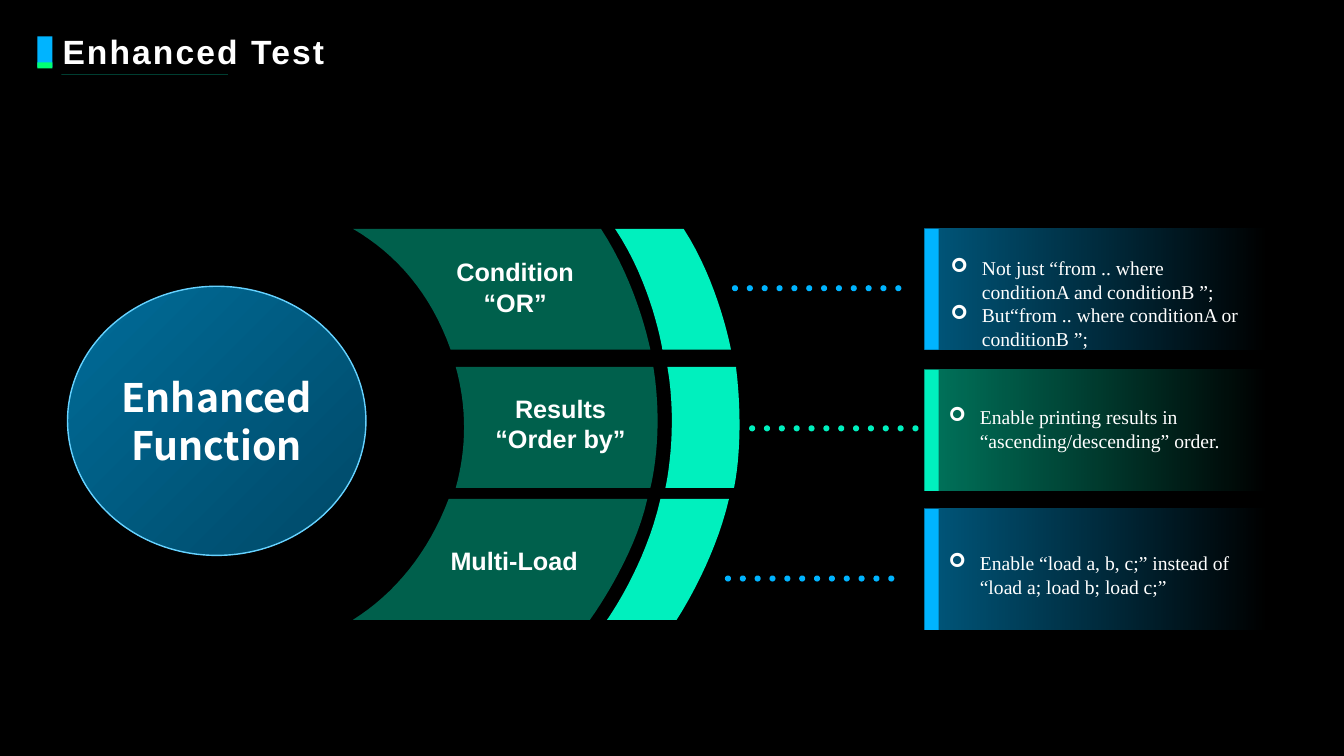
from math import cos, pi, sin

from lxml.etree import SubElement as Sub
from pptx import Presentation
from pptx.dml.color import RGBColor as Rgb
from pptx.enum.shapes import MSO_CONNECTOR as Link, MSO_SHAPE as Kind
from pptx.enum.text import MSO_ANCHOR as Anchor, PP_ALIGN as Align
from pptx.oxml.ns import qn
from pptx.util import Inches as In, Pt

HUE = {"black": "000000", "white": "FFFFFF", "blue": "00B4FF",
       "mint": "00F0BE", "green": "00FF73", "rim": "66D2FF",
       "sea": "006C99", "deep": "004866"}
WIDE, HIGH = 13.33, 7.5

# Fan rows: top, label, label centre, then the four edges from left to right.
# Edge points are x in inches from the fan's left and y as a share of the row.
FAN = [
    (0, ["Condition", "“OR”"], (1.61, 0.48),
     [(0, 0), (0.43, 0.21), (0.77, 0.53), (0.97, 1)],
     [(2.46, 0), (2.83, 0.47), (2.95, 1)],
     [(2.6, 0), (2.97, 0.46), (3.07, 1)],
     [(3.28, 0), (3.63, 0.45), (3.75, 1)]),
    (1.37, ["Results", "“Order by”"], (2.06, 0.47),
     [(1.02, 0), (1.13, 0.33), (1.13, 0.67), (1.02, 1)],
     [(2.98, 0), (3.09, 0.57), (2.95, 1)],
     [(3.12, 0), (3.23, 0.53), (3.1, 1)],
     [(3.8, 0), (3.89, 0.61), (3.78, 1)]),
    (2.68, ["Multi-Load"], (1.6, 0.51),
     [(0.95, 0), (0.75, 0.44), (0.42, 0.78), (0, 1)],
     [(2.92, 0), (2.79, 0.5), (2.35, 1)],
     [(3.05, 0), (2.9, 0.56), (2.52, 1)],
     [(3.73, 0), (3.58, 0.54), (3.21, 1)]),
]

# Panels: top, colour, text box offset and width, notes
PANELS = [
    (2.27, "blue", (0.16, 0.22, 3.19),
     ["Not just “from .. where conditionA and conditionB ”;",
      "But“from .. where conditionA or conditionB ”;"]),
    (3.67, "mint", (0.14, 0.3, 3.07),
     ["Enable printing results in “ascending/descending” order."]),
    (5.05, "blue", (0.14, 0.37, 3.1),
     ["Enable “load a, b, c;” instead of “load a; load b; load c;”"]),
]

# Dotted links: left, top, colour
LINKS = [(7.26, 2.83, "blue"), (7.43, 4.22, "mint"), (7.19, 5.71, "blue")]


def rgb(name):
    return Rgb.from_string(HUE[name])


def fade(shape, *shares):
    """Set the opacity of each colour in the shape, in percent."""
    tones = shape._element.spPr.iter(qn("a:srgbClr"))
    for tone, share in zip(tones, shares):
        Sub(tone, qn("a:alpha"), val=str(share * 1000))


def paint(shape, hue):
    shape.shadow.inherit = False
    shape.fill.solid()
    shape.fill.fore_color.rgb = rgb(hue)
    shape.line.fill.background()
    return shape


def blend(shape, first, last, angle):
    shape.fill.gradient()
    shape.fill.gradient_angle = angle
    for stop, hue in zip(shape.fill.gradient_stops, (first, last)):
        stop.color.rgb = rgb(hue)


def block(slide, kind, box, hue):
    return paint(slide.shapes.add_shape(kind, *map(In, box)), hue)


def write(frame, lines, size, face, bold=True, align=Align.CENTER):
    frame.word_wrap = True
    for i, line in enumerate(lines):
        para = frame.paragraphs[0] if i == 0 else frame.add_paragraph()
        para.text, para.alignment = line, align
        font = para.font
        font.size, font.name, font.bold = Pt(size), face, bold
        font.color.rgb = rgb("white")


def trace(slide, loops, hue):
    """Draw closed loops of points as one outline."""
    loops = [[(In(x), In(y)) for x, y in loop] for loop in loops]
    pen = slide.shapes.build_freeform(*loops[0][0], scale=1.0)
    for i, loop in enumerate(loops):
        if i:
            pen.move_to(*loop[0])
        pen.add_line_segments(loop[1:], close=True)
    return paint(pen.convert_to_shape(), hue)


def curve(edge, steps=16):
    """Points on a cubic; an edge of three points repeats its last."""
    a, b, c, d = (*edge, edge[-1])[:4]
    for i in range(steps + 1):
        t = i / steps
        u = 1 - t
        yield tuple(u**3 * p + 3 * u * u * t * q + 3 * u * t * t * r + t**3 * s
                    for p, q, r, s in zip(a, b, c, d))


def head(slide, box):
    x, y, w, h = box
    # Two-tone marker and underline
    block(slide, Kind.RECTANGLE, (x, y, 0.15, 0.31), "blue")
    block(slide, Kind.RECTANGLE, (x, y + 0.26, 0.15, 0.06), "green")
    rule = slide.shapes.add_connector(
        Link.STRAIGHT, In(x + 0.24), In(y + h), In(x + 1.89), In(y + h))
    rule.line.color.rgb, rule.line.width = rgb("mint"), Pt(0.5)
    fade(rule, 25)
    Sub(rule._element.spPr, qn("a:effectLst"))
    # Title
    title = slide.shapes.title
    title.left, title.top = In(x + 0.15), In(y - 0.06)
    title.width, title.height = In(w), In(0.49)
    frame = title.text_frame
    frame.vertical_anchor = Anchor.TOP
    write(frame, ["Enhanced Test"], 24, "Arial", align=Align.LEFT)
    para = frame.paragraphs[0]
    para.line_spacing = 0.9
    para.runs[0].font._element.set("spc", "150")


def hub(slide, box):
    disc = block(slide, Kind.OVAL, box, "sea")
    blend(disc, "sea", "deep", 315)
    disc.line.color.rgb, disc.line.width = rgb("rim"), Pt(1)
    disc.text_frame.vertical_anchor = Anchor.MIDDLE
    write(disc.text_frame, ["Enhanced", "Function"], 28, "Noto Sans CJK SC")


def fan(slide, box, tall=1.2):
    x, y = box
    for top, lines, (mid, share), *edges in FAN:
        sides = [[(x + px, y + top + py * tall) for px, py in curve(edge)]
                 for edge in edges]
        # Dim wedge and bright rim
        for k, alpha in ((0, 40), (2, 100)):
            wedge = trace(slide, [sides[k] + sides[k + 1][::-1]], "mint")
            if alpha < 100:
                fade(wedge, alpha)
        # Label
        note = slide.shapes.add_textbox(
            In(x + mid - 1), In(y + top + share * tall - 0.35), In(2), In(0.7))
        note.text_frame.vertical_anchor = Anchor.MIDDLE
        write(note.text_frame, lines, 18, "Arial")


def dots(slide, box, hue, count=12, sides=16):
    x, y, w, h = box
    r = h / 2
    gap = (w - h) / (count - 1)
    turns = [2 * pi * i / sides for i in range(sides)]
    trace(slide, [[(x + r + n * gap + r * cos(t), y + r + r * sin(t))
                   for t in turns] for n in range(count)], hue)


def panel(slide, box, hue, inset, lines):
    x, y, w, h = box
    # Fading card
    card = block(slide, Kind.RECTANGLE, box, hue)
    blend(card, hue, hue, 180)
    fade(card, 0, 50)
    # Bulleted notes
    dx, dy, wide = inset
    note = slide.shapes.add_textbox(In(x + dx), In(y + dy), In(wide), In(0.57))
    write(note.text_frame, lines, 14, "Times New Roman", False, Align.LEFT)
    for para in note.text_frame.paragraphs:
        props = para._p.get_or_add_pPr()
        props.set("marL", str(In(0.31)))
        props.set("indent", str(-In(0.31)))
        Sub(props, qn("a:buFont"), typeface="Wingdings")
        Sub(props, qn("a:buChar"), char="➢")
        # Keep the bullet ahead of the run defaults
        base = props.find(qn("a:defRPr"))
        if base is not None:
            props.append(base)
    # Side bar
    block(slide, Kind.RECTANGLE, (x, y, 0.14, h), hue)


def main():
    deck = Presentation()
    deck.slide_width, deck.slide_height = In(WIDE), In(HIGH)
    slide = deck.slides.add_slide(deck.slide_layouts[5])
    back = slide.background.fill
    back.solid()
    back.fore_color.rgb = rgb("black")

    head(slide, (0.37, 0.36, 12.27, 0.38))
    for top, hue, inset, lines in PANELS:
        panel(slide, (9.17, top, 3.43, 1.2), hue, inset, lines)
    hub(slide, (0.67, 2.84, 2.96, 2.67))
    for left, top, hue in LINKS:
        dots(slide, (left, top, 1.68, 0.06), hue)
    fan(slide, (3.5, 2.27))
    deck.save("out.pptx")


if __name__ == "__main__":
    main()
